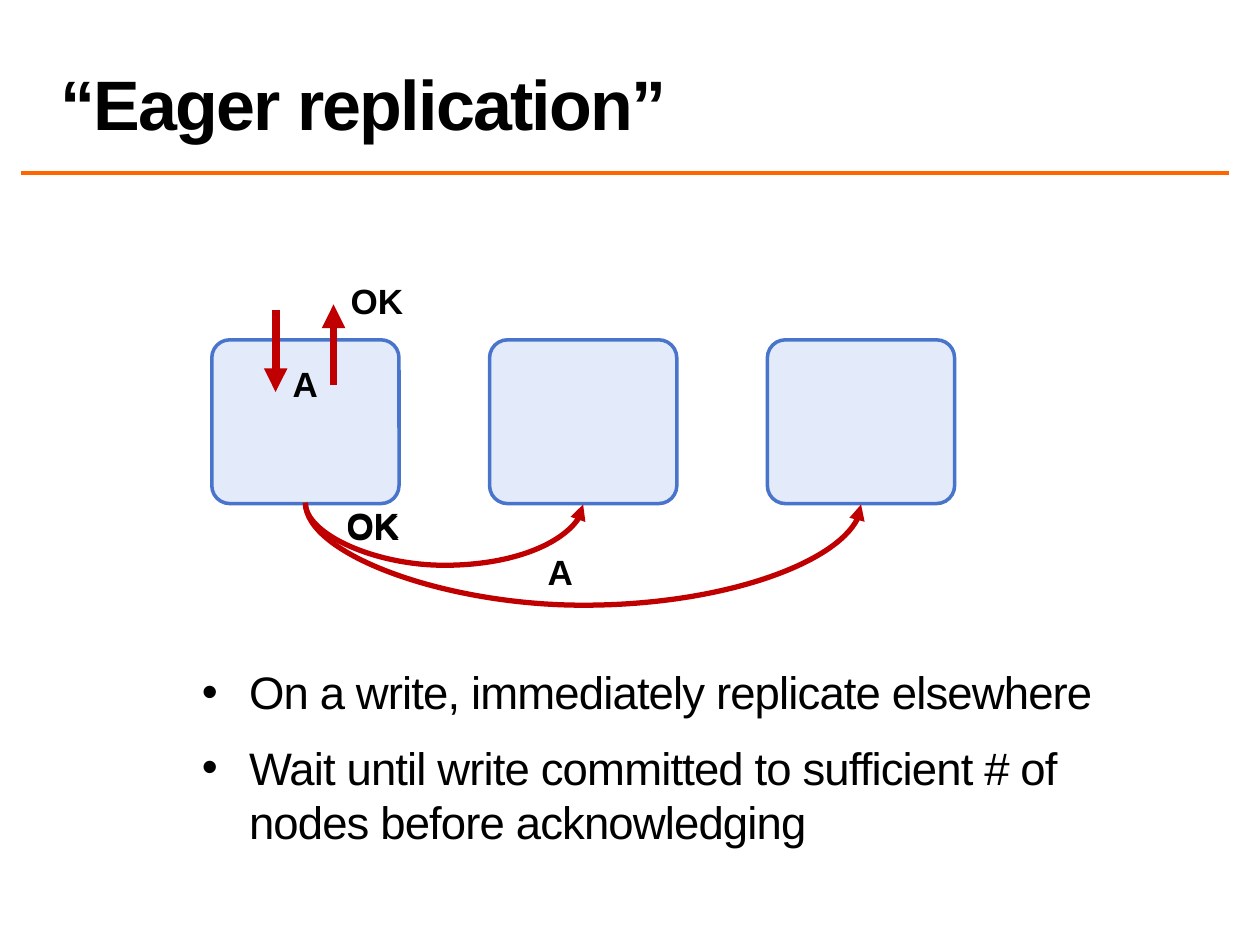
from lxml import etree
from pptx import Presentation
from pptx.dml.color import RGBColor
from pptx.enum.shapes import MSO_CONNECTOR, MSO_SHAPE
from pptx.enum.text import MSO_ANCHOR, MSO_AUTO_SIZE, PP_ALIGN
from pptx.oxml.ns import qn
from pptx.util import Pt

TITLE = "“Eager replication”"
BULLETS = [
    "On a write, immediately replicate elsewhere",
    "Wait until write committed to sufficient # of nodes before acknowledging",
]
# text, left, top, width
LABELS = [
    ("A", 159, 203.8, 31),
    ("OK", 189.4, 156.2, 52),
    ("A", 304.6, 311, 31),
    ("OK", 187.2, 284.4, 52),
    ("OK", 187.2, 285.1, 52),
]
LABEL_HEIGHT = 31.7
# x, start y, end y
CLIENT_ARROWS = [(157.5, 177, 224), (190.6, 220.3, 174)]
# target node, depth of the curve below the nodes
REPLICATION_CURVES = [(1, 36), (2, 59)]

COLORS = {"text": "000000", "rule": "FF6600", "node": "E3EAF9",
          "node_edge": "4974CB", "arrow": "C00000"}
NODE_COUNT = 3
NODE_LEFT, NODE_TOP, NODE_WIDTH, NODE_HEIGHT = 121, 194.2, 107, 93.6
NODE_PITCH = 158.75
CURVE_THICKNESS = 1


def rgb(name):
    return RGBColor.from_string(COLORS[name])


def style_font(paragraph, size, bold=False, tracking=0):
    """Tracking is the letter spacing in points."""
    font = paragraph.font
    font.name, font.size, font.bold = "Arial", Pt(size), bold
    font.color.rgb = rgb("text")
    if tracking:
        properties = paragraph._p.pPr.find(qn("a:defRPr"))
        properties.set("spc", str(int(tracking * 100)))


def add_line(page, kind, start, end, color, width, arrow=False):
    line = page.shapes.add_connector(kind, *(Pt(v) for v in (*start, *end)))
    line.line.color.rgb = rgb(color)
    line.line.width = Pt(width)
    if arrow:
        etree.SubElement(line.line._get_or_add_ln(), qn("a:tailEnd"), type="triangle")
    etree.SubElement(line._element.spPr, qn("a:effectLst"))
    return line


def add_title(page):
    title = page.shapes.title
    title.left, title.top, title.width, title.height = Pt(27.4), Pt(1.4), Pt(674.6), Pt(84.2)
    frame = title.text_frame
    frame.text = TITLE
    frame.auto_size = MSO_AUTO_SIZE.NONE
    frame.vertical_anchor = MSO_ANCHOR.BOTTOM
    paragraph = frame.paragraphs[0]
    paragraph.alignment = PP_ALIGN.LEFT
    paragraph.line_spacing = 0.8
    style_font(paragraph, 40, bold=True, tracking=-1)


def add_node(page, index):
    node = page.shapes.add_shape(
        MSO_SHAPE.ROUNDED_RECTANGLE, Pt(NODE_LEFT + index * NODE_PITCH), Pt(NODE_TOP),
        Pt(NODE_WIDTH), Pt(NODE_HEIGHT))
    node.adjustments[0] = 0.11
    node.shadow.inherit = False
    node.fill.solid()
    node.fill.fore_color.rgb = rgb("node")
    node.line.color.rgb = rgb("node_edge")
    node.line.width = Pt(2)


def add_replication_curve(page, target, depth):
    """Hang a curve from the first node to the target: an upright S, turned on its side."""
    span = target * NODE_PITCH
    middle_x = NODE_LEFT + NODE_WIDTH / 2 + span / 2
    middle_y = NODE_TOP + NODE_HEIGHT
    half = CURVE_THICKNESS / 2
    curve = add_line(page, MSO_CONNECTOR.CURVE,
                     (middle_x + half, middle_y - span / 2),
                     (middle_x - half, middle_y + span / 2), "arrow", 3, arrow=True)
    curve._element.spPr.find(qn("a:xfrm")).set("rot", str(270 * 60000))
    guides = curve._element.spPr.find(qn("a:prstGeom")).get_or_add_avLst()
    etree.SubElement(guides, qn("a:gd"), name="adj1",
                     fmla=f"val {round(depth / CURVE_THICKNESS * 100000)}")


def add_label(page, text, left, top, width):
    box = page.shapes.add_textbox(Pt(left), Pt(top), Pt(width), Pt(LABEL_HEIGHT))
    frame = box.text_frame
    frame.text = text
    frame.word_wrap = True
    frame.auto_size = MSO_AUTO_SIZE.SHAPE_TO_FIT_TEXT
    frame.paragraphs[0].alignment = PP_ALIGN.CENTER
    style_font(frame.paragraphs[0], 20, bold=True)


def add_bullets(page):
    box = page.shapes.add_textbox(Pt(112.3), Pt(376.6), Pt(548.6), Pt(99.4))
    frame = box.text_frame
    frame.word_wrap = True
    frame.margin_left = frame.margin_right = Pt(3)
    frame.margin_top = frame.margin_bottom = Pt(3)
    for index, text in enumerate(BULLETS):
        paragraph = frame.add_paragraph() if index else frame.paragraphs[0]
        paragraph.text = text
        paragraph.space_before = Pt(6 if index else 0)
        paragraph.space_after = Pt(6)
        properties = paragraph._p.get_or_add_pPr()
        properties.set("marL", str(Pt(27)))
        properties.set("indent", str(-Pt(27)))
        etree.SubElement(properties, qn("a:buFont"), typeface="Arial")
        etree.SubElement(properties, qn("a:buChar"), char="•")
        style_font(paragraph, 26, tracking=-0.5)


def main():
    deck = Presentation()
    deck.slide_width, deck.slide_height = Pt(720), Pt(540)
    page = deck.slides.add_slide(deck.slide_layouts[5])
    add_line(page, MSO_CONNECTOR.STRAIGHT, (12, 98.8), (702, 98.8), "rule", 2)
    add_title(page)
    for index in range(NODE_COUNT):
        add_node(page, index)
    for x, start, end in CLIENT_ARROWS:
        add_line(page, MSO_CONNECTOR.STRAIGHT, (x, start), (x, end), "arrow", 4.5, arrow=True)
    for target, depth in REPLICATION_CURVES:
        add_replication_curve(page, target, depth)
    for label in LABELS:
        add_label(page, *label)
    add_bullets(page)
    deck.save("out.pptx")


if __name__ == "__main__":
    main()
